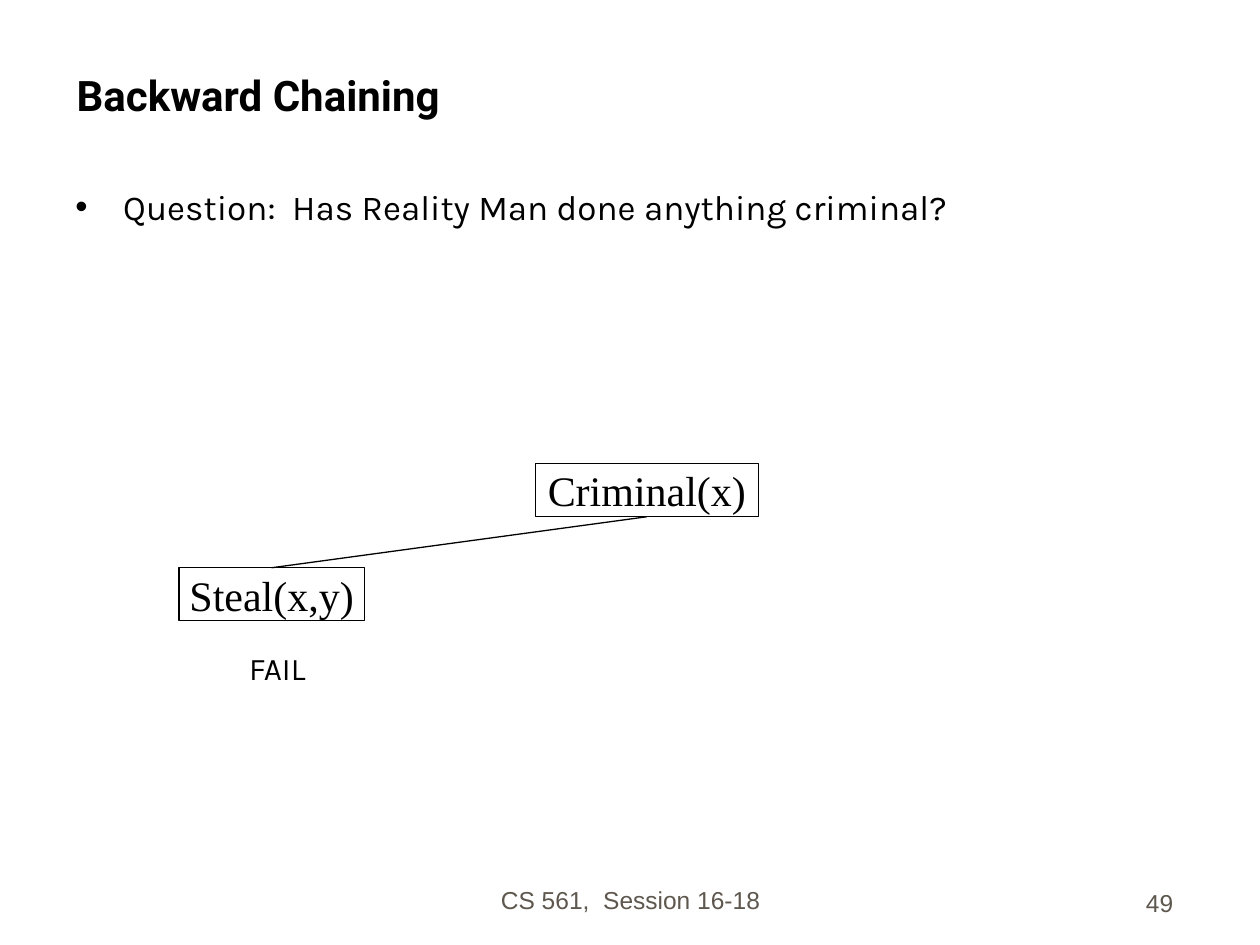
from lxml.etree import SubElement
from pptx import Presentation
from pptx.dml.color import RGBColor
from pptx.enum.shapes import MSO_CONNECTOR as Connector, MSO_SHAPE as Shape
from pptx.enum.text import MSO_ANCHOR as Anchor, PP_ALIGN as Align
from pptx.oxml.ns import qn
from pptx.util import Inches, Pt

BLACK = RGBColor(0x00, 0x00, 0x00)
GREY = RGBColor(0x5E, 0x57, 0x4E)
WIDTH, HEIGHT = Inches(10), Inches(7.5)
COLUMNS, ROWS = 100, 75
BOTTOM, TOP = 2, 0


def grid(left, top, width, height):
    column, row = WIDTH / COLUMNS, HEIGHT / ROWS
    return int(left * column), int(top * row), int(width * column), int(height * row)


def write(shape, text, font, size, color=BLACK, align=Align.LEFT, anchor=Anchor.TOP, bold=False):
    frame = shape.text_frame
    frame.word_wrap = True
    frame.vertical_anchor = anchor
    paragraph = frame.paragraphs[0]
    paragraph.alignment = align
    run = paragraph.add_run()
    run.text = text
    run.font.name = font
    run.font.size = Pt(size)
    run.font.bold = bold
    run.font.color.rgb = color
    return paragraph


def add_title(slide, box):
    shape = slide.shapes.add_textbox(*box)
    write(shape, "Backward Chaining", "Roboto", 24, anchor=Anchor.BOTTOM, bold=True)


def add_question(slide, box):
    shape = slide.shapes.add_textbox(*box)
    paragraph = write(shape, "Question:  Has Reality Man done anything criminal?", "Karla", 20)
    properties = paragraph._p.get_or_add_pPr()
    indent = Inches(0.38)
    properties.set("marL", str(indent))
    properties.set("indent", str(-indent))
    SubElement(properties, qn("a:buFont"), typeface="Arial")
    SubElement(properties, qn("a:buChar"), char="•")


def add_goal(slide, box, text):
    shape = slide.shapes.add_shape(Shape.RECTANGLE, *box)
    shape.shadow.inherit = False
    shape.fill.background()
    shape.line.color.rgb = BLACK
    shape.line.width = Pt(0.75)
    write(shape, text, "Times New Roman", 24, align=Align.CENTER, anchor=Anchor.MIDDLE)
    shape.text_frame.word_wrap = False
    return shape


def add_branch(slide, parent, child):
    line = slide.shapes.add_connector(Connector.STRAIGHT, 0, 0, 0, 0)
    line.begin_connect(parent, BOTTOM)
    line.end_connect(child, TOP)
    line.line.color.rgb = BLACK
    line.line.width = Pt(0.75)
    SubElement(line._element.spPr, qn("a:effectLst"))


def add_proof_tree(slide, box):
    left, top, width, height = box
    goal_height = height * 0.26
    criminal = add_goal(
        slide, grid(left + width * 0.615, top, width * 0.385, goal_height), "Criminal(x)")
    steal = add_goal(
        slide, grid(left, top + height * 0.51, width * 0.32, goal_height), "Steal(x,y)")
    add_branch(slide, criminal, steal)
    result = slide.shapes.add_textbox(
        *grid(left + width * 0.1, top + height * 0.88, width * 0.24, goal_height))
    write(result, "FAIL", "Karla", 18)


def add_footer(slide, box, text, align):
    shape = slide.shapes.add_textbox(*box)
    write(shape, text, "Arial", 14, GREY, align, Anchor.BOTTOM)


def main():
    presentation = Presentation()
    presentation.slide_width, presentation.slide_height = WIDTH, HEIGHT
    slide = presentation.slides.add_slide(presentation.slide_layouts[6])
    add_footer(slide, grid(34.2, 68.1, 31.7, 5), "CS 561,  Session 16-18", Align.CENTER)
    add_footer(slide, grid(73.3, 68.3, 20.8, 5), "49", Align.RIGHT)
    add_title(slide, grid(5.1, 2.5, 89.2, 7.5))
    add_question(slide, grid(5, 14.2, 89.4, 5))
    add_proof_tree(slide, (14.2, 36.8, 46, 16.2))
    presentation.save("out.pptx")


if __name__ == "__main__":
    main()
